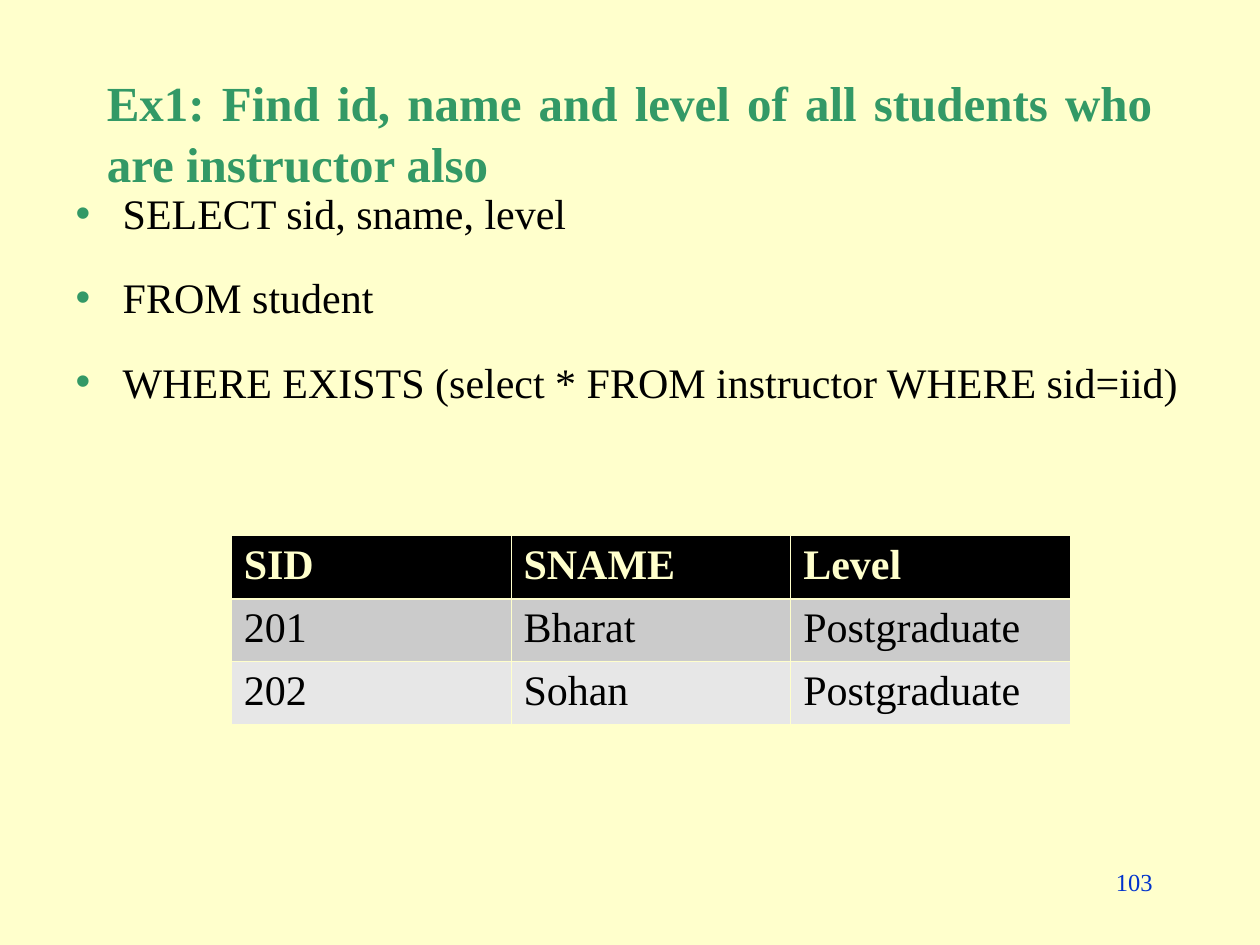
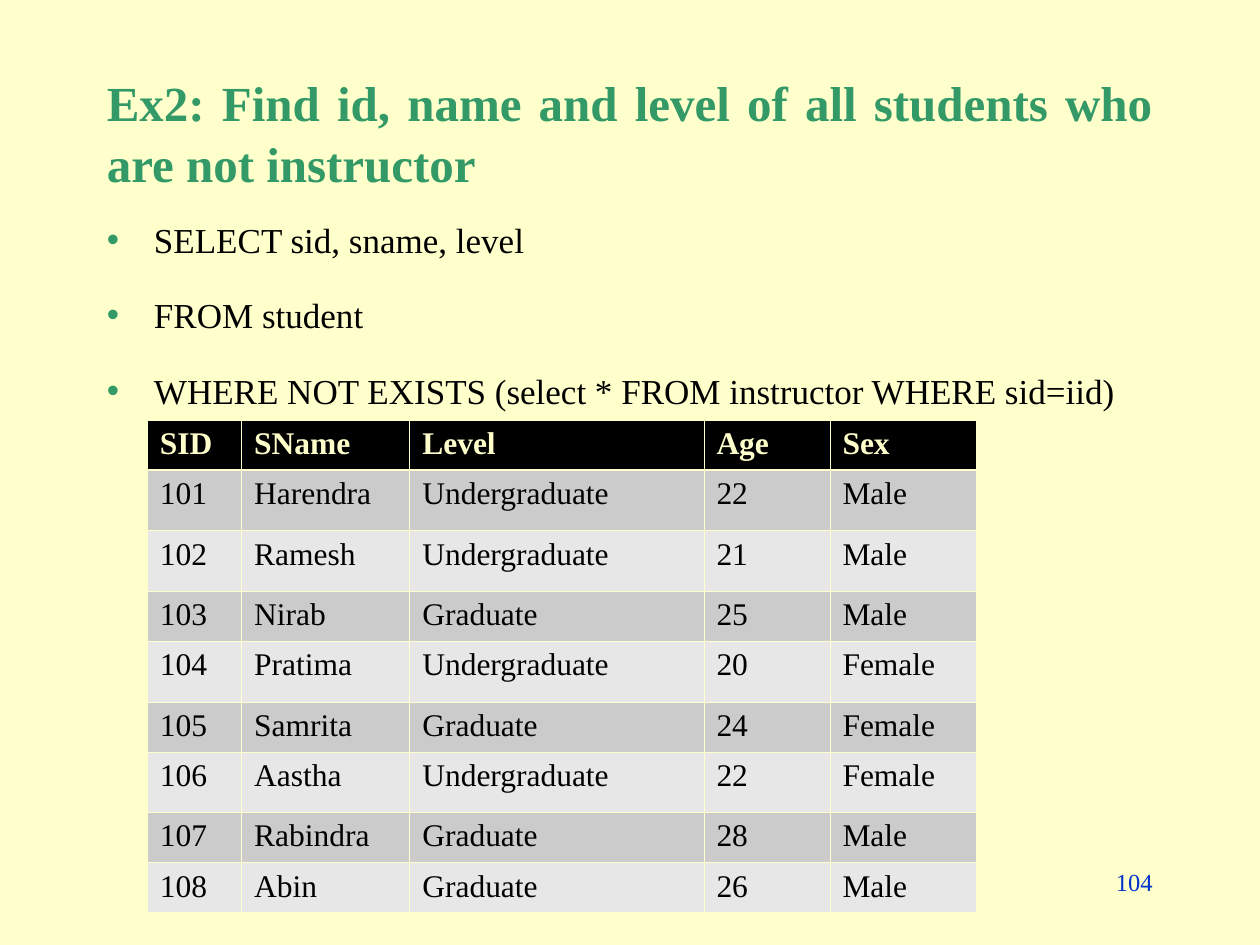
from lxml import etree
from pptx import Presentation
from pptx.dml.color import RGBColor
from pptx.enum.text import MSO_ANCHOR, MSO_AUTO_SIZE, PP_ALIGN
from pptx.oxml.ns import qn
from pptx.util import Cm, Pt

CREAM = RGBColor(0xFF, 0xFF, 0xCC)
GREEN = RGBColor(0x33, 0x99, 0x66)
BLUE = RGBColor(0x00, 0x33, 0xCC)
BLACK = RGBColor(0x00, 0x00, 0x00)
DARK_BAND = RGBColor(0xCB, 0xCB, 0xCB)
LIGHT_BAND = RGBColor(0xE7, 0xE7, 0xE7)

FONT = "Times New Roman"
LEFT, RIGHT, JUSTIFY = PP_ALIGN.LEFT, PP_ALIGN.RIGHT, PP_ALIGN.JUSTIFY
TOP, MIDDLE = MSO_ANCHOR.TOP, MSO_ANCHOR.MIDDLE
NO_AUTOFIT = MSO_AUTO_SIZE.NONE

SLIDE_SIZE = (25.4, 19.05)
TITLE_BOX = (1.9, 1.69, 21.59, 1.9)
NUMBER_BOX = (18.2, 17.36, 5.29, 1.27)
BULLET_INDENT = 0.95
THIN, THICK = 0.45, 1.47

EXERCISES = [
    {
        "title": "Ex1: Find id, name and level of all students who are instructor also",
        "number": "103",
        "query": [
            "SELECT sid, sname, level",
            "FROM student",
            "WHERE EXISTS (select * FROM instructor WHERE sid=iid)",
        ],
        "query_box": (1.27, 3.6, 22.86, 13.97),
        "query_size": 24,
        "rows": [
            ("SID", "SNAME", "Level"),
            ("201", "Bharat", "Postgraduate"),
            ("202", "Sohan", "Postgraduate"),
        ],
        "table_corner": (4.66, 10.8),
        "column_widths": (5.64, 5.64, 5.64),
        "row_height": 1.27,
        "table_size": 24,
    },
    {
        "title": "Ex2: Find id, name and level of all students who are not instructor",
        "number": "104",
        "query": [
            "SELECT sid, sname, level",
            "FROM student",
            "WHERE NOT EXISTS (select * FROM instructor WHERE sid=iid)",
        ],
        "query_box": (1.9, 4.23, 21.59, 12.7),
        "query_size": 20,
        "rows": [
            ("SID", "SName", "Level", "Age", "Sex"),
            ("101", "Harendra", "Undergraduate", "22", "Male"),
            ("102", "Ramesh", "Undergraduate", "21", "Male"),
            ("103", "Nirab", "Graduate", "25", "Male"),
            ("104", "Pratima", "Undergraduate", "20", "Female"),
            ("105", "Samrita", "Graduate", "24", "Female"),
            ("106", "Aastha", "Undergraduate", "22", "Female"),
            ("107", "Rabindra", "Graduate", "28", "Male"),
            ("108", "Abin", "Graduate", "26", "Male"),
        ],
        "table_corner": (2.97, 8.47),
        "column_widths": (1.9, 3.39, 5.93, 2.54, 2.96),
        "row_height": 1.01,
        "tall_row": ("Undergraduate", 1.22),
        "table_size": 18,
    },
]


def place(shape, box):
    shape.left, shape.top, shape.width, shape.height = map(Cm, box)


def add_bullet(paragraph):
    properties = paragraph._p.get_or_add_pPr()
    properties.set("marL", str(Cm(BULLET_INDENT)))
    properties.set("indent", str(-Cm(BULLET_INDENT)))
    colour = etree.SubElement(properties, qn("a:buClr"))
    etree.SubElement(colour, qn("a:srgbClr"), val=str(GREEN))
    etree.SubElement(properties, qn("a:buChar"), char="•")


def write(frame, *lines, size, color=BLACK, bold=False, align=LEFT,
          anchor=TOP, bullets=False, gap=0, line_spacing=1.0):
    frame.word_wrap = True
    frame.auto_size = NO_AUTOFIT
    frame.vertical_anchor = anchor
    for index, line in enumerate(lines):
        paragraph = frame.add_paragraph() if index else frame.paragraphs[0]
        if bullets:
            add_bullet(paragraph)
        paragraph.alignment = align
        paragraph.line_spacing = line_spacing
        paragraph.space_before = Pt(gap if index else 0)
        run = paragraph.add_run()
        run.text = line
        run.font.name = FONT
        run.font.size = Pt(size)
        run.font.bold = bold
        run.font.color.rgb = color


def set_borders(cell, top, bottom):
    properties = cell._tc.get_or_add_tcPr()
    widths = {"lnL": THIN, "lnR": THIN, "lnT": top, "lnB": bottom}
    for position, (side, width) in enumerate(widths.items()):
        line = etree.Element(qn(f"a:{side}"), w=str(Pt(width)))
        fill = etree.SubElement(line, qn("a:solidFill"))
        etree.SubElement(fill, qn("a:srgbClr"), val=str(CREAM))
        properties.insert(position, line)


def add_result_table(slide, exercise):
    rows, widths = exercise["rows"], exercise["column_widths"]
    tall_word, tall_height = exercise.get("tall_row", (None, None))
    heights = [tall_height if tall_word in row else exercise["row_height"] for row in rows]
    left, top = exercise["table_corner"]
    table = slide.shapes.add_table(
        len(rows), len(widths), Cm(left), Cm(top), Cm(sum(widths)), Cm(sum(heights))
    ).table
    table.horz_banding = False
    for column, width in zip(table.columns, widths):
        column.width = Cm(width)
    for row_index, values in enumerate(rows):
        table.rows[row_index].height = Cm(heights[row_index])
        header = row_index == 0
        band = BLACK if header else DARK_BAND if row_index % 2 else LIGHT_BAND
        for column_index, value in enumerate(values):
            cell = table.cell(row_index, column_index)
            cell.fill.solid()
            cell.fill.fore_color.rgb = band
            set_borders(cell, top=THICK if row_index == 1 else THIN,
                        bottom=THICK if header else THIN)
            paragraph = cell.text_frame.paragraphs[0]
            run = paragraph.add_run()
            run.text = value
            run.font.name = FONT
            run.font.size = Pt(exercise["table_size"])
            run.font.bold = header
            run.font.color.rgb = CREAM if header else BLACK


def add_exercise(presentation, exercise):
    slide = presentation.slides.add_slide(presentation.slide_layouts[1])
    title, query = slide.placeholders
    place(title, TITLE_BOX)
    write(title.text_frame, exercise["title"], size=28, color=GREEN, bold=True,
          align=JUSTIFY, anchor=MIDDLE, line_spacing=1.05)
    place(query, exercise["query_box"])
    write(query.text_frame, *exercise["query"], size=exercise["query_size"],
          bullets=True, gap=18, line_spacing=1.05)
    number = slide.shapes.add_textbox(*map(Cm, NUMBER_BOX))
    write(number.text_frame, exercise["number"], size=14, color=BLUE, align=RIGHT)
    add_result_table(slide, exercise)


def main():
    presentation = Presentation()
    presentation.slide_width, presentation.slide_height = map(Cm, SLIDE_SIZE)
    background = presentation.slide_master.background.fill
    background.solid()
    background.fore_color.rgb = CREAM
    for exercise in EXERCISES:
        add_exercise(presentation, exercise)
    presentation.save("out.pptx")


if __name__ == "__main__":
    main()
